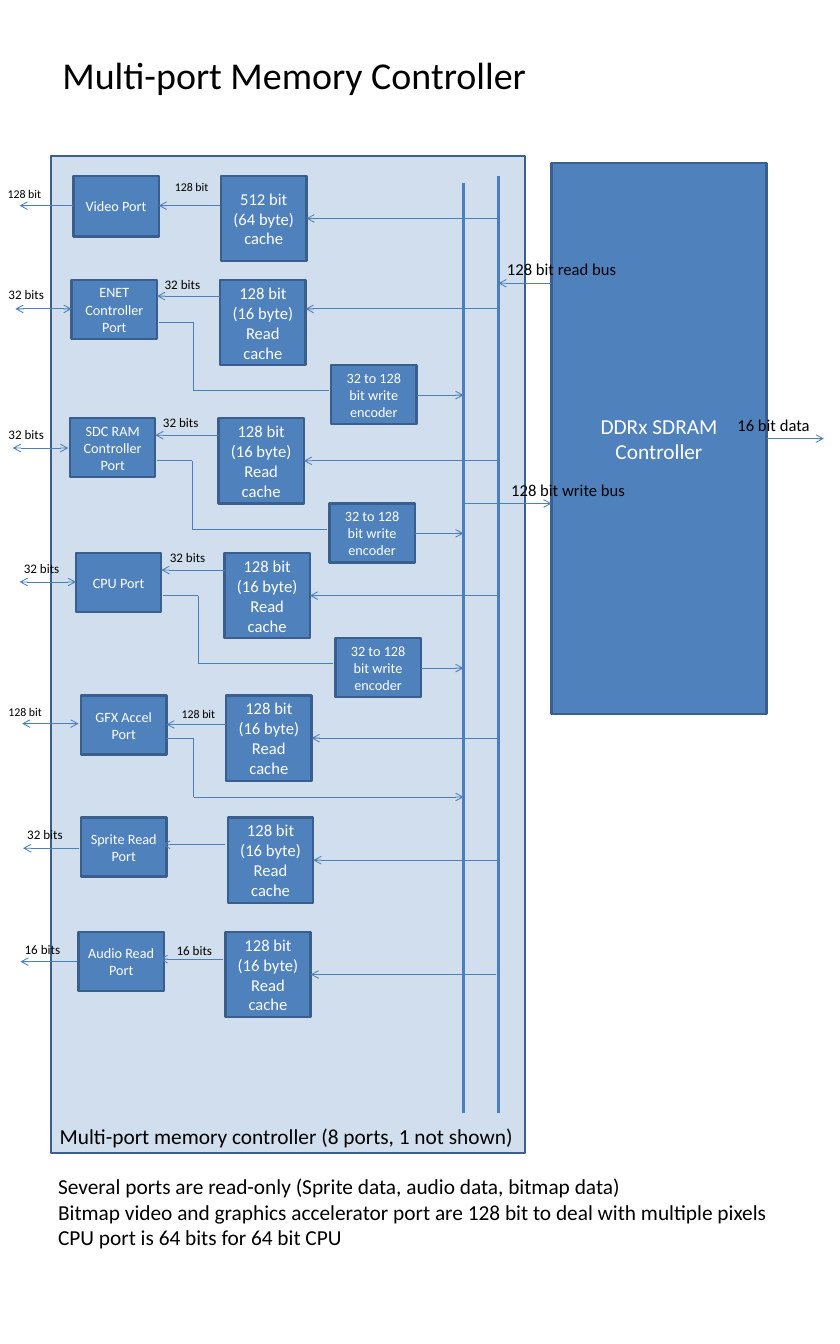
from dataclasses import dataclass

from lxml import etree
from pptx import Presentation
from pptx.dml.color import RGBColor
from pptx.enum.shapes import MSO_CONNECTOR, MSO_SHAPE
from pptx.enum.text import MSO_ANCHOR, MSO_AUTO_SIZE, PP_ALIGN
from pptx.oxml.ns import qn
from pptx.util import Inches, Pt

RECT = MSO_SHAPE.RECTANGLE
STRAIGHT = MSO_CONNECTOR.STRAIGHT
TOP, MIDDLE, BOTTOM = MSO_ANCHOR.TOP, MSO_ANCHOR.MIDDLE, MSO_ANCHOR.BOTTOM
LEFT, CENTER = PP_ALIGN.LEFT, PP_ALIGN.CENTER
NO_AUTOFIT, GROW = MSO_AUTO_SIZE.NONE, MSO_AUTO_SIZE.SHAPE_TO_FIT_TEXT


@dataclass(frozen=True)
class Theme:
    font: str = "Calibri"
    box: str = "4F81BD"
    border: str = "3A5F8C"
    wire: str = "4B7EBC"
    dark: str = "000000"
    light: str = "FFFFFF"
    title: int = 32
    large: int = 18
    medium: int = 14
    small: int = 12
    bits: int = 11
    bit: int = 10


@dataclass(frozen=True)
class Port:
    """One row; every *_dy is measured down from the row's top."""
    name: str
    left: float
    top: float
    cache_left: float
    outer: tuple          # label, its left, its dy
    outer_wire: tuple     # from x, to x, dy
    inner: tuple          # label, its left, its dy
    inner_wire: tuple     # from x, to x, dy
    two_way: bool = True
    cache: tuple = ("128 bit (16 byte)", "Read cache")
    feed_dy: float = 0.5
    feed_from: float = 5.84
    height: float = 0.69
    encoder: bool = False


T = Theme()
WRITE_BUS, READ_BUS, BUS_END = 5.43, 5.84, 13.04
BOX_WIDTH = CACHE_SIZE = 1
ENCODER_HEIGHT = 0.69

PORTS = [
    Port("Video Port", 0.86, 2.06, 2.59, ("128 bit", -0.01, 0.08), (0.86, 0.23, 0.35),
         ("128 bit", 1.95, 0), (2.58, 1.86, 0.35), two_way=False,
         cache=("512 bit (64 byte)", "cache"), height=0.71),
    Port("ENET Controller Port", 0.84, 3.28, 2.58, ("32 bits", 0, 0.03), (0.84, 0.18, 0.34),
         ("32 bits", 1.83, -0.09), (2.58, 1.84, 0.19), feed_dy=0.34, encoder=True),
    Port("SDC RAM Controller Port", 0.82, 4.9, 2.56, ("32 bits", 0, 0.05), (0.8, 0.15, 0.35),
         ("32 bits", 1.81, -0.09), (2.56, 1.82, 0.2), encoder=True),
    Port("CPU Port", 0.89, 6.48, 2.63, ("32 bits", 0.18, 0.04), (0.89, 0.23, 0.34),
         ("32 bits", 1.89, -0.09), (2.63, 1.89, 0.2), encoder=True),
    Port("GFX Accel Port", 0.95, 8.15, 2.65, ("128 bit", 0, 0.06), (0.92, 0.26, 0.33),
         ("128 bit", 2.03, 0.08), (2.65, 1.95, 0.34)),
    Port("Sprite Read Port", 0.95, 9.58, 2.67, ("32 bits", 0.22, 0.06), (0.93, 0.27, 0.36),
         None, (2.64, 1.9, 0.32), two_way=False),
    Port("Audio Read Port", 0.92, 10.92, 2.64, ("16 bits", 0.19, 0.06), (0.9, 0.24, 0.35),
         ("16 bits", 1.97, 0.08), (2.61, 1.87, 0.32), two_way=False, feed_from=5.81),
]
NOTES = (
    "Several ports are read-only (Sprite data, audio data, bitmap data)",
    "Bitmap video and graphics accelerator port are 128 bit to deal with multiple pixels",
    "CPU port is 64 bits for 64 bit CPU",
)


def write(shape, lines, size, color, align=LEFT, **frame):
    tf = shape.text_frame
    for name, value in frame.items():
        setattr(tf, name, value)
    for i, line in enumerate(lines):
        p = tf.paragraphs[0] if i == 0 else tf.add_paragraph()
        p.alignment = align
        r = p.add_run()
        r.text = line
        formats = {"name": T.font, "size": Pt(size)}
        for name, value in formats.items():
            setattr(r.font, name, value)
        r.font.color.rgb = RGBColor.from_string(color)


def add_box(s, left, top, width, height, lines, size, color=T.light, align=CENTER, anchor=MIDDLE):
    sp = s.shapes.add_shape(RECT, Inches(left), Inches(top), Inches(width), Inches(height))
    sp.shadow.inherit = False
    sp.fill.solid()
    sp.fill.fore_color.rgb = RGBColor.from_string(T.box)
    sp.line.color.rgb = RGBColor.from_string(T.border)
    sp.line.width = Pt(2)
    write(sp, lines, size, color, align, vertical_anchor=anchor, word_wrap=True)
    return sp


def add_label(s, text, left, top, size, width, height):
    sp = s.shapes.add_textbox(Inches(left), Inches(top), Inches(width), Inches(height))
    write(sp, [text], size, T.dark, word_wrap=False, auto_size=GROW)


def add_wire(s, x1, y1, x2, y2, width=0.75, head=False, tail=False):
    """Straight line; head and tail put an arrow at its start and end."""
    line = s.shapes.add_connector(STRAIGHT, Inches(x1), Inches(y1), Inches(x2), Inches(y2))
    line.line.color.rgb = RGBColor.from_string(T.wire)
    line.line.width = Pt(width)
    ln = line._element.spPr.find(qn("a:ln"))
    for tag, wanted in (("a:headEnd", head), ("a:tailEnd", tail)):
        if wanted:
            etree.SubElement(ln, qn(tag)).set("type", "arrow")
    etree.SubElement(line._element.spPr, qn("a:effectLst"))


def add_bit_label(s, text, left, top):
    size, width, height = (T.bits, 0.62, 0.29) if text.endswith("s") else (T.bit, 0.6, 0.27)
    add_label(s, text, left, top, size, width, height)


def add_elbow(s, x1, y1, x2, y2, x3, tail=False):
    add_wire(s, x1, y1, x2, y1)
    add_wire(s, x2, y1, x2, y2)
    add_wire(s, x2, y2, x3, y2, tail=tail)


def add_encoder(s, port):
    left, top = port.left + 3.04, port.top + 1
    add_elbow(s, port.left + 1.02, port.top + 0.5, port.left + 1.43, port.top + 1.3, left - 0.03)
    add_box(s, left, top, BOX_WIDTH, ENCODER_HEIGHT, ["32 to 128 bit write encoder"], T.small)
    add_wire(s, left + BOX_WIDTH, top + 0.35, WRITE_BUS, top + 0.35, tail=True)


def add_port(s, port):
    add_box(s, port.left, port.top, BOX_WIDTH, port.height, [port.name], T.small)
    add_box(s, port.cache_left, port.top, CACHE_SIZE, CACHE_SIZE, port.cache, T.medium)
    for (x1, x2, dy), head in ((port.outer_wire, port.two_way), (port.inner_wire, False)):
        add_wire(s, x1, port.top + dy, x2, port.top + dy, head=head, tail=True)
    for label in filter(None, (port.outer, port.inner)):
        text, left, dy = label
        add_bit_label(s, text, left, port.top + dy)
    feed = port.top + port.feed_dy
    add_wire(s, port.feed_from, feed, port.cache_left + CACHE_SIZE, feed, tail=True)
    if port.encoder:
        add_encoder(s, port)


def add_panel(s):
    sp = add_box(s, 0.6, 1.83, 5.55, 11.68, ["Multi-port memory controller (8 ports, 1 not shown)"],
                 T.large, T.dark, LEFT, BOTTOM)
    color = sp._element.spPr.find(qn("a:solidFill"))[0]
    etree.SubElement(color, qn("a:alpha")).set("val", "26000")


def add_memory(s):
    add_box(s, 6.46, 1.91, 2.52, 6.46, ["DDRx SDRAM Controller"], T.large)
    add_wire(s, WRITE_BUS, 2.14, WRITE_BUS, BUS_END, width=3)
    add_wire(s, READ_BUS, 2.06, READ_BUS, BUS_END, width=3)
    for text, left, width, x1, x2, y in (
        ("128 bit read bus", 5.84, 1.49, 6.46, READ_BUS, 3.32),
        ("128 bit write bus", 5.89, 1.55, WRITE_BUS, 6.46, 5.9),
        ("16 bit data", 8.54, 1.06, 8.98, 9.65, 5.14),
    ):
        add_wire(s, x1, y, x2, y, tail=True)
        add_label(s, text, left, y - 0.33, T.medium, width, 0.34)


def fill_placeholder(sp, left, top, width, height, lines, size, anchor):
    bounds = {"left": left, "top": top, "width": width, "height": height}
    for name, value in bounds.items():
        setattr(sp, name, Inches(value))
    write(sp, lines, size, T.dark, auto_size=NO_AUTOFIT, word_wrap=False, vertical_anchor=anchor)
    for p in sp.text_frame.paragraphs:
        p.space_before = Pt(0)
        pPr = p._p.get_or_add_pPr()
        pPr.set("marL", "0")
        pPr.set("indent", "0")
        etree.SubElement(pPr, qn("a:buNone"))


def main():
    prs = Presentation()
    prs.slide_width, prs.slide_height = Inches(9.84), Inches(15.75)
    s = prs.slides.add_slide(prs.slide_layouts[1])
    title, body = s.placeholders
    fill_placeholder(title, 0.63, 0.55, 5.7, 0.64, ["Multi-port Memory Controller"], T.title, MIDDLE)
    fill_placeholder(body, 0.58, 13.7, 8.61, 1.31, NOTES, T.large, TOP)
    add_panel(s)
    add_memory(s)
    for port in PORTS:
        add_port(s, port)
    add_elbow(s, 1.95, 8.65, 2.27, 9.34, WRITE_BUS, tail=True)
    prs.save("out.pptx")


if __name__ == "__main__":
    main()
